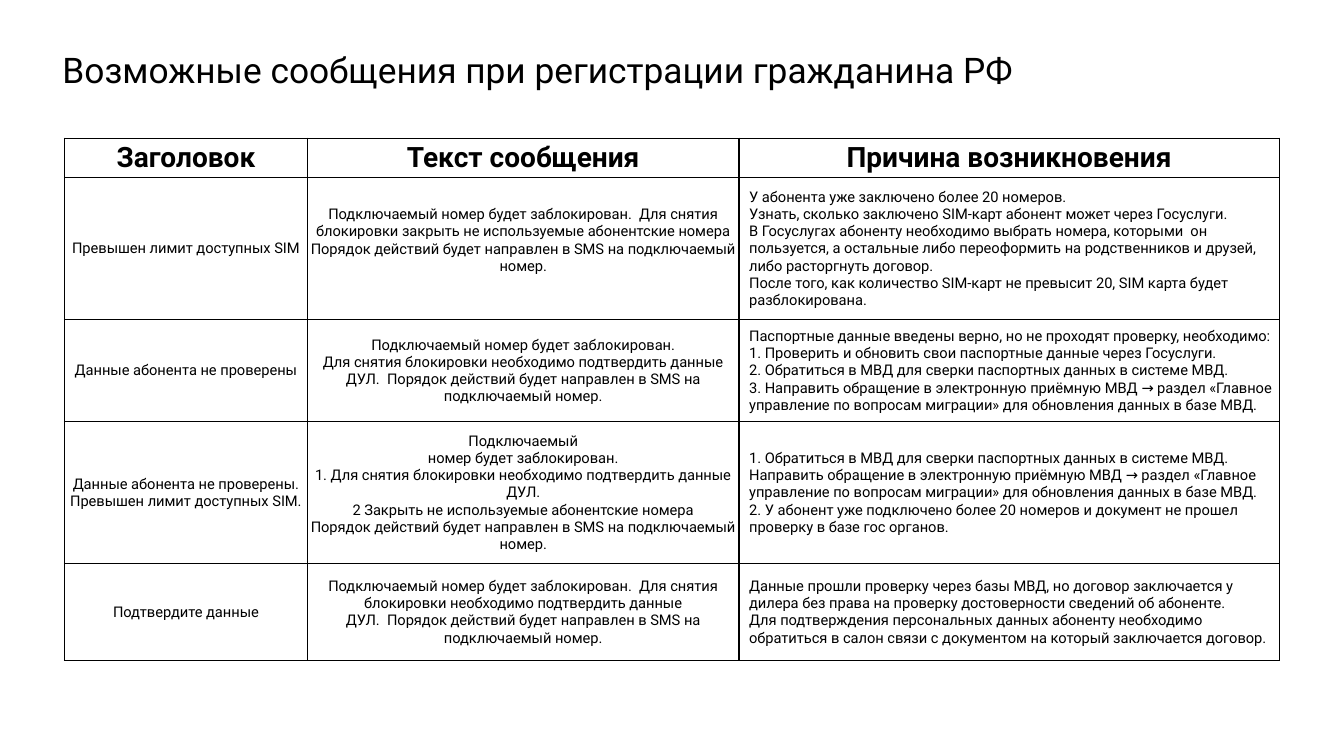
from lxml.etree import SubElement
from pptx import Presentation
from pptx.dml.color import RGBColor
from pptx.enum.text import MSO_ANCHOR, PP_ALIGN
from pptx.oxml.ns import qn
from pptx.util import Inches, Pt

BLACK = RGBColor(0, 0, 0)
WHITE = RGBColor(255, 255, 255)
FONT = "Roboto"

TITLE = "Возможные сообщения при регистрации гражданина РФ"
COLUMN_WIDTHS = [2.41, 4.28, 5.36]
ROW_HEIGHTS = [0.39, 1.41, 1.01, 1.41, 0.96]
HEADINGS = ["Заголовок", "Текст сообщения", "Причина возникновения"]
MESSAGES = [
    (
        "Превышен лимит доступных SIM",
        "Подключаемый номер будет заблокирован.  Для снятия блокировки закрыть "
        "не используемые абонентские номера\n"
        "Порядок действий будет направлен в SMS на подключаемый номер.",
        "У абонента уже заключено более 20 номеров.\n"
        "Узнать, сколько заключено SIM-карт абонент может через Госуслуги.\n"
        "В Госуслугах абоненту необходимо выбрать номера, которыми  он пользуется, "
        "а остальные либо переоформить на родственников и друзей, либо расторгнуть договор.\n"
        "После того, как количество SIM-карт не превысит 20, SIM карта будет разблокирована.",
    ),
    (
        "Данные абонента не проверены",
        "Подключаемый номер будет заблокирован.\n"
        "Для снятия блокировки необходимо подтвердить данные\n"
        "ДУЛ.  Порядок действий будет направлен в SMS на подключаемый номер.",
        "Паспортные данные введены верно, но не проходят проверку, необходимо:\n"
        "1. Проверить и обновить свои паспортные данные через Госуслуги.\n"
        "2. Обратиться в МВД для сверки паспортных данных в системе МВД.\n"
        "3. Направить обращение в электронную приёмную МВД → раздел «Главное "
        "управление по вопросам миграции» для обновления данных в базе МВД.",
    ),
    (
        "Данные абонента не проверены.\nПревышен лимит доступных SIM.",
        "Подключаемый\n"
        "номер будет заблокирован.\n"
        "1. Для снятия блокировки необходимо подтвердить данные\n"
        "ДУЛ.\n"
        "2 Закрыть не используемые абонентские номера\n"
        "Порядок действий будет направлен в SMS на подключаемый номер.",
        "1. Обратиться в МВД для сверки паспортных данных в системе МВД. "
        "Направить обращение в электронную приёмную МВД → раздел «Главное "
        "управление по вопросам миграции» для обновления данных в базе МВД.\n"
        "2. У абонент уже подключено более 20 номеров и документ не прошел "
        "проверку в базе гос органов.",
    ),
    (
        "Подтвердите данные",
        "Подключаемый номер будет заблокирован.  Для снятия блокировки "
        "необходимо подтвердить данные\n"
        "ДУЛ.  Порядок действий будет направлен в SMS на подключаемый номер.",
        "Данные прошли проверку через базы МВД, но договор заключается у дилера "
        "без права на проверку достоверности сведений об абоненте.\n"
        "Для подтверждения персональных данных абоненту необходимо обратиться "
        "в салон связи с документом на который заключается договор.",
    ),
]


def style_text(frame, size, bold=False, align=PP_ALIGN.LEFT):
    for paragraph in frame.paragraphs:
        paragraph.alignment = align
        font = paragraph.font
        font.name, font.size, font.bold = FONT, Pt(size), bold
        font.color.rgb = BLACK


def add_borders(cell):
    properties = cell._tc.get_or_add_tcPr()
    for side in ("a:lnL", "a:lnR", "a:lnT", "a:lnB"):
        line = SubElement(properties, qn(side), w=str(Pt(1)))
        fill = SubElement(line, qn("a:solidFill"))
        SubElement(fill, qn("a:srgbClr"), val=str(BLACK))


def fill_cell(cell, text, is_heading, is_reason):
    cell.text = text
    cell.vertical_anchor = MSO_ANCHOR.MIDDLE
    cell.margin_left = cell.margin_right = cell.margin_top = Inches(0.01)
    cell.margin_bottom = 0
    add_borders(cell)
    cell.fill.solid()
    cell.fill.fore_color.rgb = WHITE
    align = PP_ALIGN.CENTER
    if is_reason and not is_heading:
        align = PP_ALIGN.LEFT
        cell.margin_left = Inches(0.1)
    style_text(cell.text_frame, 20 if is_heading else 10.5, is_heading, align)


def add_title(slide, left, top, width, height):
    title = slide.shapes.add_textbox(Inches(left), Inches(top), Inches(width), Inches(height))
    frame = title.text_frame
    frame.word_wrap = True
    frame.vertical_anchor = MSO_ANCHOR.MIDDLE
    frame.margin_left = frame.margin_right = Inches(0.05)
    frame.margin_top = frame.margin_bottom = Inches(0.05)
    frame.text = TITLE
    frame.paragraphs[0].line_spacing = 0.9
    style_text(frame, 25.2)


def add_message_table(slide, left, top):
    rows = [HEADINGS, *MESSAGES]
    table = slide.shapes.add_table(
        len(rows), len(HEADINGS), Inches(left), Inches(top),
        Inches(sum(COLUMN_WIDTHS)), Inches(sum(ROW_HEIGHTS)),
    ).table
    table.horz_banding = False
    for column, width in zip(table.columns, COLUMN_WIDTHS):
        column.width = Inches(width)
    for row, height in zip(table.rows, ROW_HEIGHTS):
        row.height = Inches(height)
    for r, texts in enumerate(rows):
        for c, text in enumerate(texts):
            fill_cell(table.cell(r, c), text, r == 0, c == len(HEADINGS) - 1)
    # The first message sits half a line above the middle of its row
    table.cell(1, 1).margin_bottom = Inches(0.17)


def main():
    presentation = Presentation()
    presentation.slide_width = Inches(13.33)
    presentation.slide_height = Inches(7.5)
    slide = presentation.slides.add_slide(presentation.slide_layouts[6])
    add_message_table(slide, 0.64, 1.37)
    add_title(slide, 0.57, 0.44, 11.5, 0.55)
    presentation.save("out.pptx")


if __name__ == "__main__":
    main()
